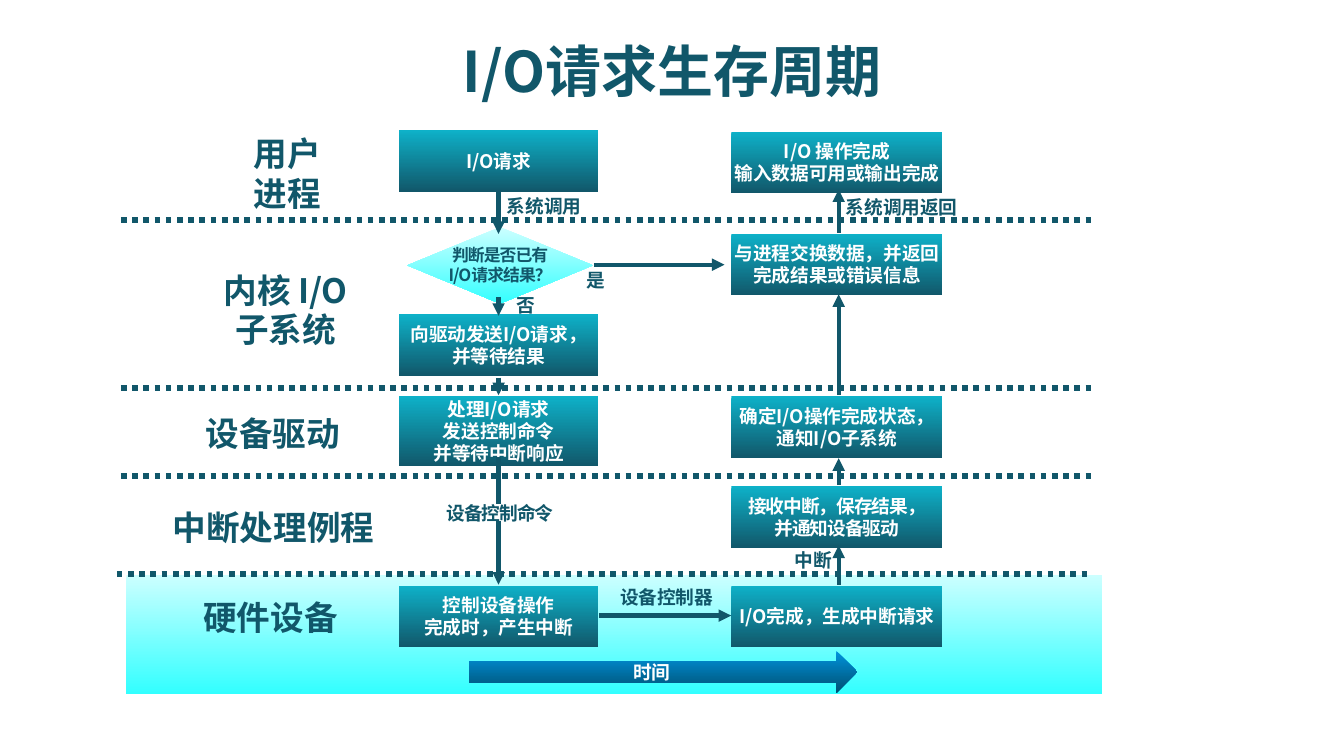
from lxml import etree
from pptx import Presentation
from pptx.dml.color import RGBColor
from pptx.enum import dml, shapes, text
from pptx.oxml import ns
from pptx.util import Pt

TEAL = RGBColor(0x11, 0x57, 0x6A)
CYAN = RGBColor(0x0E, 0xB1, 0xC8)
PALE = RGBColor(0xCC, 0xFF, 0xFF)
AQUA = RGBColor(0x33, 0xFF, 0xFF)
BLUE = RGBColor(0x00, 0x93, 0xDD)
NAVY = RGBColor(0x00, 0x50, 0x72)
WHITE = RGBColor(0xFF, 0xFF, 0xFF)


def write_text(frame, content, size=10, color=TEAL, font="Noto Sans CJK SC", spacing=0):
    frame.word_wrap = False
    frame.auto_size = text.MSO_AUTO_SIZE.NONE
    frame.vertical_anchor = text.MSO_ANCHOR.MIDDLE
    frame.margin_left = frame.margin_right = 0
    frame.margin_top = frame.margin_bottom = 0
    for index, line in enumerate(content.split("\n")):
        paragraph = frame.add_paragraph() if index else frame.paragraphs[0]
        paragraph.alignment = text.PP_ALIGN.CENTER
        paragraph.line_spacing = Pt(round(size * 1.18, 1))
        run = paragraph.add_run()
        run.text = line
        run.font.name = font
        run.font.size = Pt(size)
        run.font.bold = True
        run.font.color.rgb = color
        properties = run.font._element
        etree.SubElement(properties, ns.qn("a:ea")).set("typeface", font)
        if spacing:
            properties.set("spc", str(int(spacing * 100)))


class Diagram:
    def __init__(self, slide):
        self.slide = slide

    def title(self, content):
        shape = self.slide.shapes.title
        shape.left, shape.top, shape.width, shape.height = Pt(36), Pt(17), Pt(648), Pt(42)
        write_text(shape.text_frame, content, size=30)

    def block(self, left, top, width, height, content="", colors=(CYAN, TEAL),
              kind=shapes.MSO_SHAPE.RECTANGLE, **style):
        shape = self.slide.shapes.add_shape(kind, Pt(left), Pt(top), Pt(width), Pt(height))
        shape.shadow.inherit = False
        shape.line.fill.background()
        shape.fill.gradient()
        shape.fill.gradient_angle = 270
        for position, (stop, color) in enumerate(zip(shape.fill.gradient_stops, colors)):
            stop.position = position
            stop.color.rgb = color
        if content:
            write_text(shape.text_frame, content, **{"color": WHITE, **style})

    def label(self, center, middle, content, width=76, height=20, **style):
        box = self.slide.shapes.add_textbox(
            Pt(center - width / 2), Pt(middle - height / 2), Pt(width), Pt(height))
        write_text(box.text_frame, content, **style)

    def line(self, x1, y1, x2, y2, width=2.25, arrow=True, dotted=False):
        connector = self.slide.shapes.add_connector(
            shapes.MSO_CONNECTOR.STRAIGHT, Pt(x1), Pt(y1), Pt(x2), Pt(y2))
        connector.line.color.rgb = TEAL
        connector.line.width = Pt(width)
        if dotted:
            connector.line.dash_style = dml.MSO_LINE.ROUND_DOT
        if arrow:
            outline = connector.line._get_or_add_ln()
            etree.SubElement(outline, ns.qn("a:tailEnd")).set("type", "triangle")
        etree.SubElement(connector._element.spPr, ns.qn("a:effectLst"))


presentation = Presentation()
presentation.slide_width, presentation.slide_height = Pt(720), Pt(405)
diagram = Diagram(presentation.slides.add_slide(presentation.slide_layouts[5]))
diagram.title("I/O请求生存周期")

diagram.block(67.7, 308.2, 522.7, 63.4, colors=(PALE, AQUA))
for left, y in ((64.8, 118), (64.8, 208), (64.8, 255), (62.6, 307.6)):
    diagram.line(left, y, left + 522.7, y, width=3, arrow=False, dotted=True)

for center, middle, content in (
    (154, 93, "用户\n进程"),
    (153, 166, "内核 I/O\n子系统"),
    (146.2, 232.5, "设备驱动"),
    (146.5, 282.5, "中断处理例程"),
    (145, 331, "硬件设备"),
):
    diagram.label(center, middle, content, width=122, height=50, size=18)

diagram.block(218.2, 121.7, 99.4, 41, "判断是否已有\nI/O请求结果？", colors=(PALE, AQUA),
              kind=shapes.MSO_SHAPE.DIAMOND, size=9, color=TEAL, spacing=-0.5)

for top, height, content in (
    (69.8, 33, "I/O请求"),
    (168.5, 33, "向驱动发送I/O请求，\n并等待结果"),
    (212.4, 37.4, "处理I/O请求\n发送控制命令\n并等待中断响应"),
    (313.9, 33, "控制设备操作\n完成时，产生中断"),
):
    diagram.block(213.8, top, 106.6, height, content)

for top, content, spacing in (
    (70.6, "I/O 操作完成\n输入数据可用或输出完成", 0),
    (125.3, "与进程交换数据，并返回\n完成结果或错误信息", 0),
    (212.4, "确定I/O操作完成状态，\n通知I/O子系统", 0),
    (260.6, "接收中断，保存结果，\n并通知设备驱动", -0.5),
    (313.9, "I/O完成，生成中断请求", 0),
):
    diagram.block(391.9, top, 113, 33, content, spacing=spacing)

for start, end in ((103, 125.3), (159.1, 169.2), (202.3, 211.7), (279.4, 313.2)):
    diagram.line(267.1, start, 267.1, end)
diagram.line(267.1, 244.8, 267.1, 270, arrow=False)
for start, end in ((313.2, 292.3), (259.9, 245.5), (211.7, 157.7), (124.6, 101.5)):
    diagram.line(449.3, start, 449.3, end)
diagram.line(318.2, 141.8, 388.1, 141.8)
diagram.line(321.1, 329.8, 391.7, 329.8)

for center, middle, content, spacing in (
    (291.5, 110.5, "系统调用", 0),
    (483, 111, "系统调用返回", 0),
    (319.3, 150, "是", 0),
    (281.9, 163.5, "否", 0),
    (267.8, 275, "设备控制命令", -0.5),
    (357.1, 320, "设备控制器", 0),
    (435.6, 300, "中断", 0),
):
    diagram.label(center, middle, content, spacing=spacing)

diagram.block(251.3, 348.8, 208, 22.3, colors=(BLUE, NAVY),
              kind=shapes.MSO_SHAPE.RIGHT_ARROW)
diagram.label(349.2, 360, "时间", color=WHITE)

presentation.save("out.pptx")
